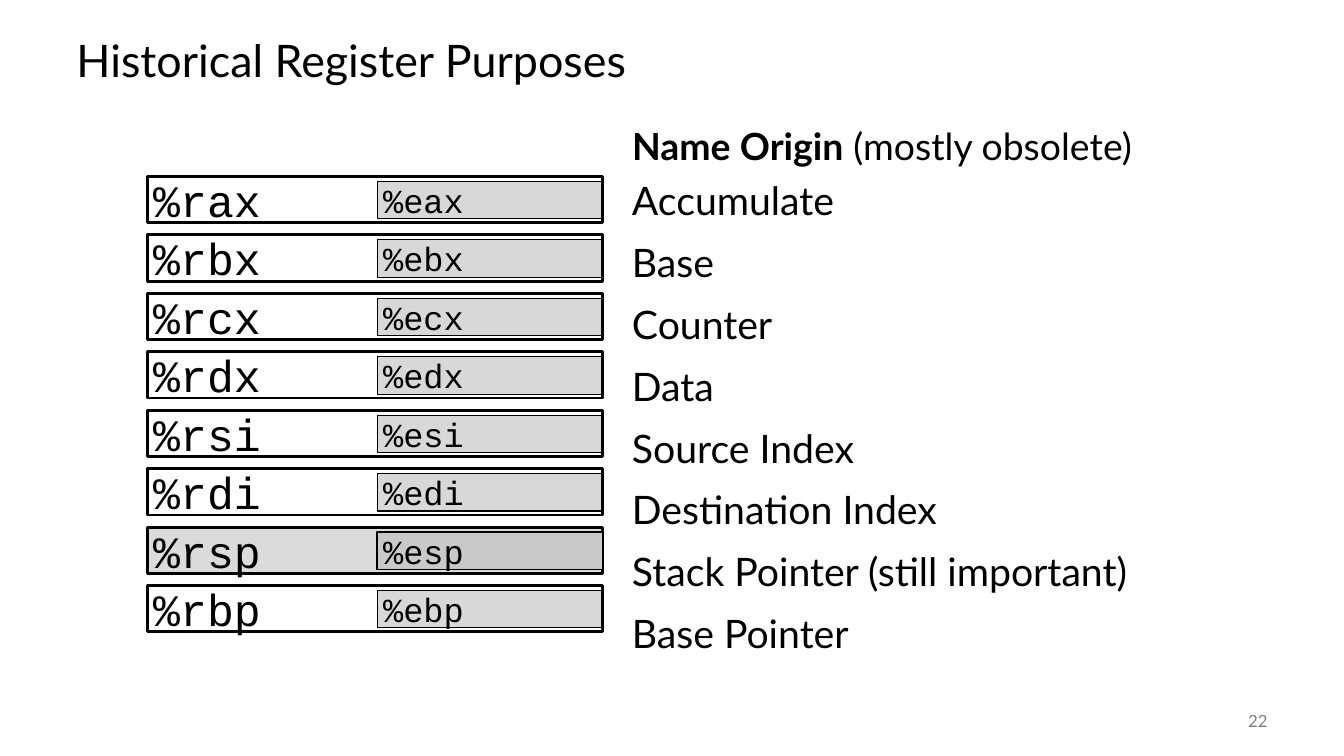
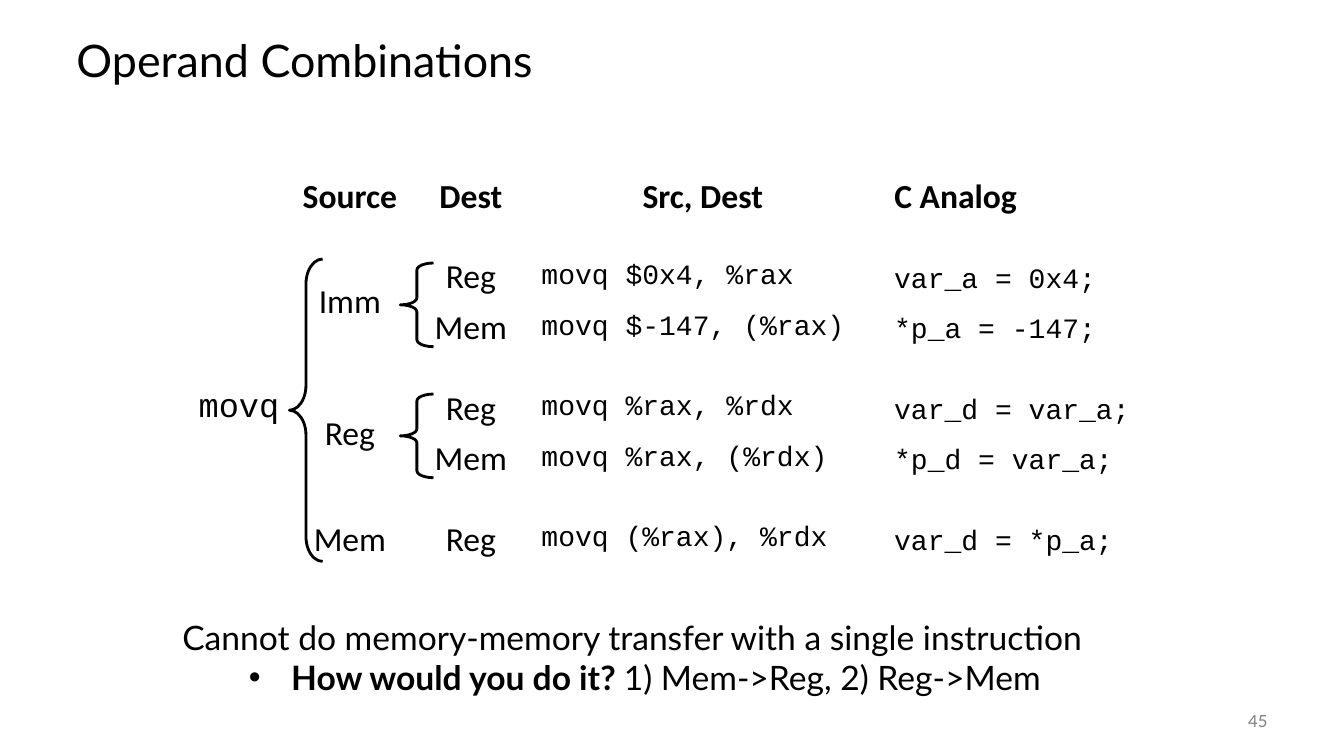
import lxml.etree
import pptx
import pptx.dml.color
import pptx.enum.shapes
import pptx.enum.text
import pptx.oxml.ns
import pptx.util
from dataclasses import dataclass
from itertools import accumulate

Inches, Pt = pptx.util.Inches, pptx.util.Pt
ALIGN = pptx.enum.text.PP_ALIGN
ANCHOR = pptx.enum.text.MSO_ANCHOR
SHAPE = pptx.enum.shapes.MSO_SHAPE
qn = pptx.oxml.ns.qn


@dataclass(frozen=True)
class Theme:
    ink: str = "000000"
    muted: str = "808080"
    paper: str = "FFFFFF"
    half: str = "D8D8D8"
    special: str = "DBDBDB"
    special_half: str = "C9C9C9"
    sans: str = "Lato"
    table_sans: str = "Calibri"
    mono: str = "Courier New"
    title: float = 32
    origin: float = 28
    heading: float = 26.7
    text: float = 24
    code: float = 20
    number: float = 12


THEME = Theme()
WIDTH, HEIGHT = 13.33, 7.5

REGISTERS = [
    ("ax", "Accumulate"),
    ("bx", "Base"),
    ("cx", "Counter"),
    ("dx", "Data"),
    ("si", "Source Index"),
    ("di", "Destination Index"),
    ("sp", "Stack Pointer (still important)"),
    ("bp", "Base Pointer"),
]
STACK_POINTER = "sp"

HEADINGS = ["", "Source", "Dest", "Src, Dest", "C Analog"]
# Source kind, then (destination kind, instruction, C statement) for each row.
OPERANDS = [
    ("Imm", [("Reg", "movq $0x4, %rax", "var_a = 0x4;"),
             ("Mem", "movq $-147, (%rax)", "*p_a = -147;")]),
    ("Reg", [("Reg", "movq %rax, %rdx", "var_d = var_a;"),
             ("Mem", "movq %rax, (%rdx)", "*p_d = var_a;")]),
    ("Mem", [("Reg", "movq (%rax), %rdx", "var_d = *p_a;")]),
]
COLUMNS = [1, 1.2, 1.2, 3.5, 2.6]
ROW, GAP = 0.5, 0.3


def rgb(code):
    return pptx.dml.color.RGBColor.from_string(code)


def add_run(para, text, size, font=THEME.sans, color=THEME.ink, bold=False):
    span = para.add_run()
    span.text = text
    span.font.size = Pt(size)
    span.font.name = font
    span.font.bold = bold
    span.font.color.rgb = rgb(color)


def add_box(page, left, top, width, height, anchor=ANCHOR.TOP):
    box = page.shapes.add_textbox(*map(Inches, (left, top, width, height)))
    box.text_frame.word_wrap = True
    box.text_frame.vertical_anchor = anchor
    return box.text_frame


def add_page(deck, title, number):
    page = deck.slides.add_slide(deck.slide_layouts[6])
    page.background.fill.solid()
    page.background.fill.fore_color.rgb = rgb(THEME.paper)
    para = add_box(page, 0.66, 0.25, 12, 0.75, ANCHOR.MIDDLE).paragraphs[0]
    para.line_spacing = 0.9
    add_run(para, title, THEME.title)
    para = add_box(page, 11.67, 6.95, 1, 0.4, ANCHOR.MIDDLE).paragraphs[0]
    para.alignment = ALIGN.RIGHT
    add_run(para, str(number), THEME.number, color=THEME.muted)
    return page


def add_outline(page, kind, place, fill, line):
    shape = page.shapes.add_shape(kind, *map(Inches, place))
    shape.shadow.inherit = False
    if fill:
        shape.fill.solid()
        shape.fill.fore_color.rgb = rgb(fill)
    else:
        shape.fill.background()
    shape.line.color.rgb = rgb(THEME.ink)
    shape.line.width = Pt(line)
    return shape


def add_register(page, name, place, size, fill, line):
    frame = add_outline(page, SHAPE.RECTANGLE, place, fill, line).text_frame
    frame.margin_left = frame.margin_right = Inches(0.06)
    frame.margin_top = frame.margin_bottom = Inches(0.06)
    frame.vertical_anchor = ANCHOR.MIDDLE
    frame.paragraphs[0].alignment = ALIGN.LEFT
    add_run(frame.paragraphs[0], name, size, THEME.mono)


def add_brace(page, left, top, height, curve):
    brace = add_outline(page, SHAPE.LEFT_BRACE, (left, top, 0.33, height), None, 2)
    brace.adjustments[0] = curve
    brace.adjustments[1] = 0.5


def build_registers(deck):
    page = add_page(deck, "Historical Register Purposes", 22)
    left, top, pitch = 1.46, 1.75, 0.58
    for index, (name, _) in enumerate(REGISTERS):
        row_top = top + index * pitch
        special = name == STACK_POINTER
        whole = ("%r" + name, (left, row_top, 4.52, 0.46), THEME.title,
                 THEME.special if special else None, 2)
        low_half = ("%e" + name, (3.74, row_top + 0.05, 2.24, 0.37), THEME.text,
                    THEME.special_half if special else THEME.half,
                    1 if special else 0.75)
        # A filled register goes behind its half; an open one frames it.
        for part in (whole, low_half) if special else (low_half, whole):
            add_register(page, *part)

    para = add_box(page, 6.17, 1.17, 5.71, 0.55).paragraphs[0]
    add_run(para, "Name Origin", THEME.heading, bold=True)
    add_run(para, " (mostly obsolete)", THEME.heading)

    frame = add_box(page, 6.17, top, 6.5, 4.95)
    for index, (_, origin) in enumerate(REGISTERS):
        para = frame.add_paragraph() if index else frame.paragraphs[0]
        para.line_spacing = 0.9
        para.space_before = Pt(14 if index else 0)
        add_run(para, origin, THEME.origin)


def fill_cell(cell, text, size=THEME.text, font=THEME.table_sans, bold=False,
              align=ALIGN.CENTER):
    cell.vertical_anchor = ANCHOR.MIDDLE
    para = cell.text_frame.paragraphs[0]
    para.alignment = align
    add_run(para, text, size, font, bold=bold)


def add_grid(page, left, top, heights):
    frame = page.shapes.add_table(
        len(heights), len(COLUMNS), Inches(left), Inches(top),
        Inches(sum(COLUMNS)), Inches(sum(heights)))
    grid = frame.table
    grid.first_row = grid.horz_banding = False
    for column, width in zip(grid.columns, COLUMNS):
        column.width = Inches(width)
    for row, height in zip(grid.rows, heights):
        row.height = Inches(height)
    for cell in grid.iter_cells():
        cell.fill.background()
    return grid


def shrink_empty_cells(grid):
    """Keep blank cells from stretching the narrow gap rows."""
    for cell in grid.iter_cells():
        if not cell.text_frame.text:
            para = cell.text_frame.paragraphs[0]
            lxml.etree.SubElement(para._p, qn("a:endParaRPr"), sz="1000")


def build_operands(deck):
    page = add_page(deck, "Operand Combinations", 45)
    left, top = 1.87, 1.7
    heights = [ROW]
    for _, variants in OPERANDS:
        heights += [GAP] + [ROW] * len(variants)
    tops = list(accumulate(heights, initial=top))
    lefts = list(accumulate(COLUMNS, initial=left))

    grid = add_grid(page, left, top, heights)
    for row in range(len(heights)):
        grid.cell(row, 3).margin_right = Inches(0.2)
    for column, heading in enumerate(HEADINGS):
        if heading:
            align = ALIGN.LEFT if heading == "C Analog" else ALIGN.CENTER
            fill_cell(grid.cell(0, column), heading, bold=True, align=align)
    opcode = grid.cell(2, 0)
    opcode.merge(grid.cell(len(heights) - 1, 0))
    opcode.margin_left = opcode.margin_right = Inches(0.05)
    fill_cell(opcode, "movq", font=THEME.mono)

    add_brace(page, lefts[1], 2.57, 3, 0.75)
    row = 2
    for source, variants in OPERANDS:
        count = len(variants)
        if count > 1:
            grid.cell(row, 1).merge(grid.cell(row + count - 1, 1))
            add_brace(page, lefts[2] - 0.1, tops[row] + 0.11, 0.83, 0.21)
        fill_cell(grid.cell(row, 1), source)
        for line, (dest, instruction, statement) in enumerate(variants, row):
            fill_cell(grid.cell(line, 2), dest)
            fill_cell(grid.cell(line, 3), instruction, THEME.code, THEME.mono,
                      align=ALIGN.LEFT)
            frame = add_box(page, lefts[4], tops[line], COLUMNS[4], ROW, ANCHOR.MIDDLE)
            add_run(frame.paragraphs[0], statement, THEME.code, THEME.mono)
        row += count + 1
    shrink_empty_cells(grid)

    frame = add_box(page, 1.71, 6.07, 9.81, 0.91)
    add_run(frame.paragraphs[0],
            "Cannot do memory-memory transfer with a single instruction", THEME.text)
    para = frame.add_paragraph()
    properties = para._p.get_or_add_pPr()
    properties.set("marL", str(Inches(1.08)))
    properties.set("indent", str(Inches(-0.42)))
    lxml.etree.SubElement(properties, qn("a:buFont"), typeface="Arial")
    lxml.etree.SubElement(properties, qn("a:buChar"), char="•")
    add_run(para, "How would you do it? ", THEME.text, bold=True)
    add_run(para, "1) Mem->Reg, 2) Reg->Mem", THEME.text)


def main():
    deck = pptx.Presentation()
    deck.slide_width, deck.slide_height = Inches(WIDTH), Inches(HEIGHT)
    build_registers(deck)
    build_operands(deck)
    deck.save("out.pptx")


if __name__ == "__main__":
    main()
